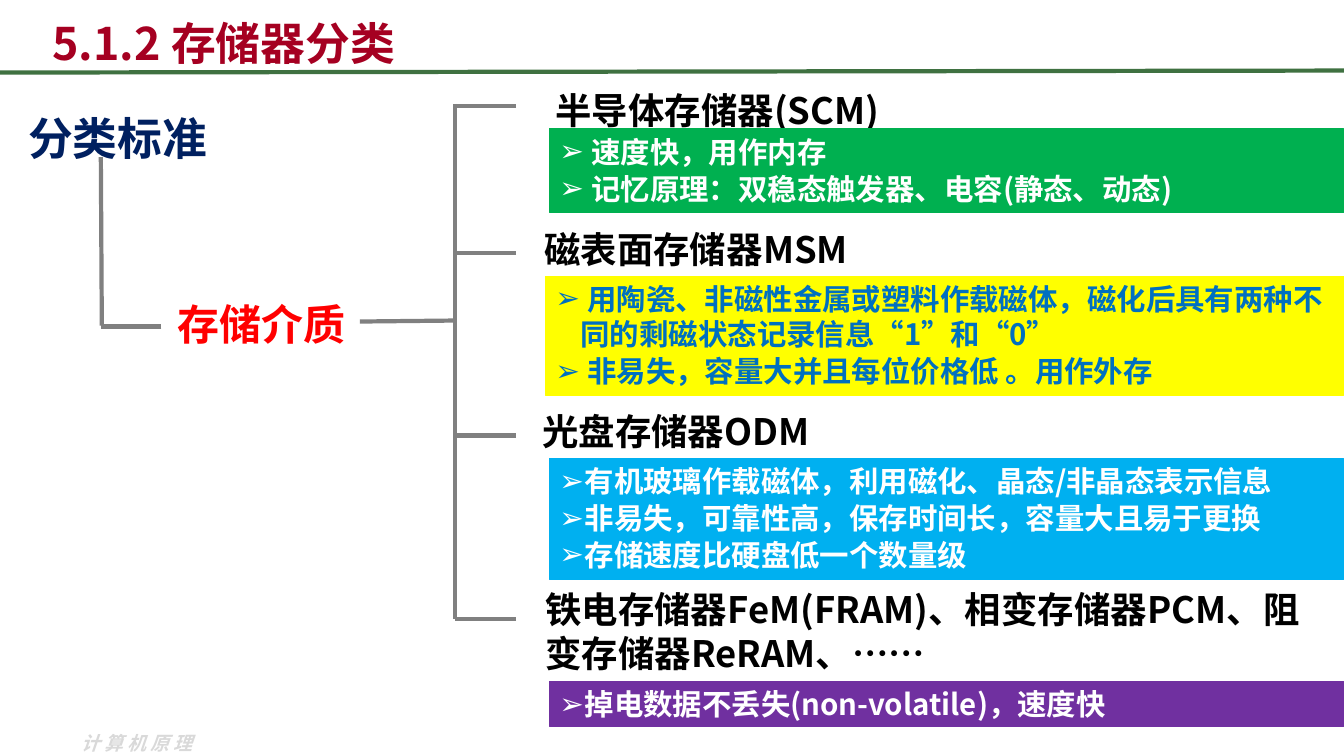
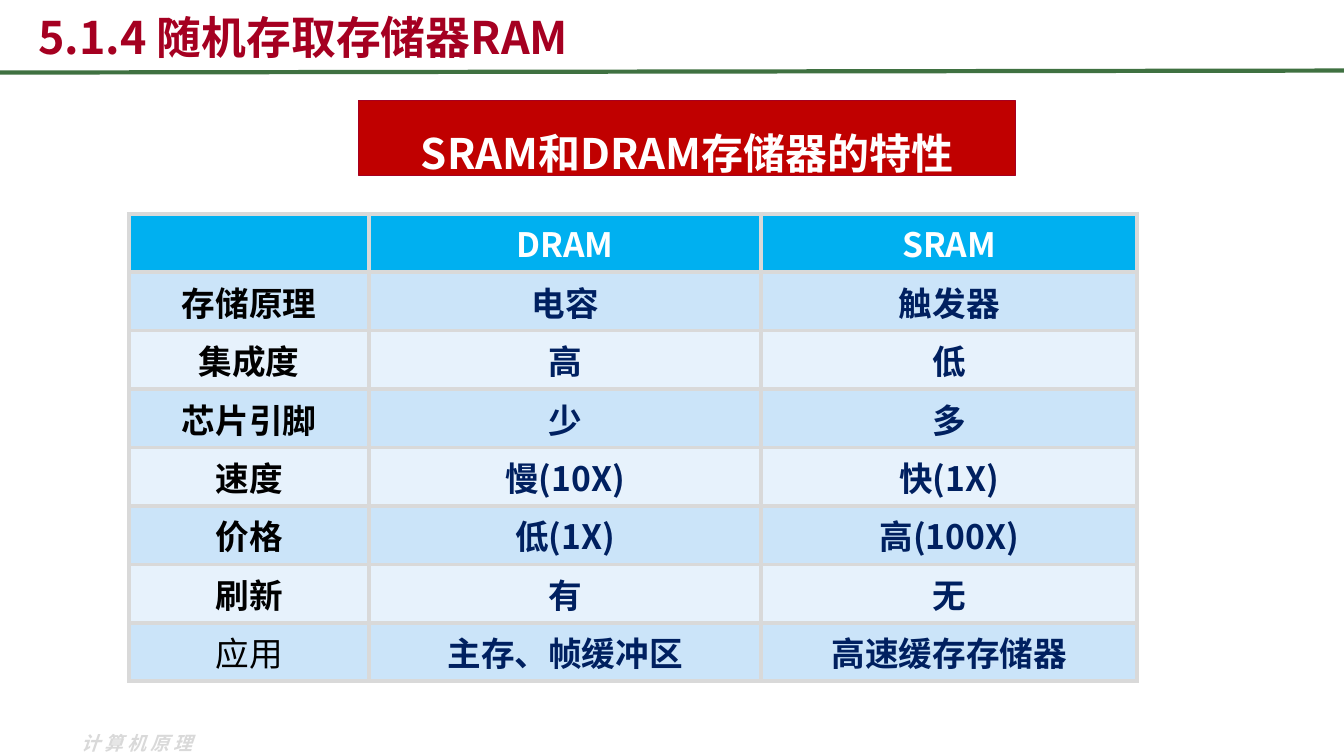
"""Build two slides on memory classification and random access memory."""
from dataclasses import dataclass, replace
from typing import Optional

from lxml import etree
from pptx import Presentation
from pptx.dml.color import RGBColor
from pptx.enum.shapes import MSO_CONNECTOR, MSO_SHAPE
from pptx.enum.text import MSO_ANCHOR, PP_ALIGN
from pptx.oxml.ns import qn
from pptx.util import Inches, Length, Pt

STRAIGHT = MSO_CONNECTOR.STRAIGHT
RECTANGLE = MSO_SHAPE.RECTANGLE
TOP, MIDDLE, BOTTOM = MSO_ANCHOR.TOP, MSO_ANCHOR.MIDDLE, MSO_ANCHOR.BOTTOM
LEFT, CENTER = PP_ALIGN.LEFT, PP_ALIGN.CENTER

COLUMNS, ROWS = 133.3, 75
CELL = Inches(0.1)


@dataclass(frozen=True)
class Style:
    size: float
    color: str
    bold: bool = True
    italic: bool = False
    tracking: float = 0
    align: PP_ALIGN = LEFT
    line_spacing: Optional[float] = None
    space_before: float = 0
    bullet: str = ""


@dataclass(frozen=True)
class Theme:
    font: str = "Noto Sans CJK SC"
    rule: str = "3F7141"
    tree: str = "808080"
    white: str = "FFFFFF"
    banner: str = "C00000"
    banner_edge: str = "A50021"
    border: str = "D9D9D9"
    header: str = "00B0F0"
    bands: tuple[str, str] = ("CBE4F9", "E7F2FC")
    line_width: float = 3
    edge_width: float = 0.75
    bullet_indent: float = 2.5
    title: Style = Style(32, "A50021")
    footer: Style = Style(13.5, "D9D9D9", italic=True, tracking=3)
    root: Style = Style(32, "002060", space_before=0.05)
    medium: Style = Style(30, "FF0000", space_before=0.05)
    heading: Style = Style(26, "000000", space_before=0.05)
    point: Style = Style(21, "FFFFFF", space_before=0.05, bullet="➢")
    caption: Style = Style(30, "FFFFFF", align=CENTER, line_spacing=1.6, space_before=0.05)
    header_cell: Style = Style(24, "FFFFFF", align=CENTER)
    label_cell: Style = Style(24, "000000", align=CENTER)
    value_cell: Style = Style(24, "002060", align=CENTER)


THEME = Theme()


@dataclass(frozen=True)
class Area:
    left: float
    top: float
    width: float
    height: float

    def lengths(self) -> tuple[Length, ...]:
        """Convert grid cells to slide lengths."""
        return tuple(cells(n) for n in (self.left, self.top, self.width, self.height))


@dataclass(frozen=True)
class Line:
    x1: float
    y1: float
    x2: float
    y2: float


@dataclass(frozen=True)
class Panel:
    left: float
    top: float
    height: float
    fill: str
    points: tuple[str, ...]
    ink: str = THEME.white


@dataclass(frozen=True)
class Branch:
    heading: str
    area: Area
    tick: float
    panel: Panel
    style: Style = THEME.heading


BRANCHES = (
    Branch("半导体存储器(SCM)", Area(31.2, 5.7, 79.9, 5.4), 10.5,
           Panel(54.5, 12.8, 8.3, "00B050",
                 (" 速度快，用作内存", " 记忆原理：双稳态触发器、电容(静态、动态)")),
           replace(THEME.heading, align=CENTER, line_spacing=1.6)),
    Branch("磁表面存储器MSM", Area(53, 22, 79.9, 5.4), 25.1,
           Panel(54.1, 27.4, 11.8, "FFFF00",
                 (" 用陶瓷、非磁性金属或塑料作载磁体，磁化后具有两种不同的剩磁状态记录信息“1”和“0”",
                  " 非易失，容量大并且每位价格低 。用作外存"), "0070C0")),
    Branch("光盘存储器ODM", Area(52.8, 40.1, 79.9, 5.4), 43.2,
           Panel(54.5, 45.5, 12, "00B0F0",
                 ("有机玻璃作载磁体，利用磁化、晶态/非晶态表示信息",
                  "非易失，可靠性高，保存时间长，容量大且易于更换",
                  "存储速度比硬盘低一个数量级"))),
    Branch("铁电存储器FeM(FRAM)、相变存储器PCM、阻变存储器ReRAM、……",
           Area(53.1, 57.8, 80.2, 9.8), 61.4,
           Panel(54.5, 67.6, 4.5, "7030A0", ("掉电数据不丢失(non-volatile)，速度快",))),
)
TRUNK, TICK_END = 45.1, 51.2
TREE_LINES = (
    Line(10, 15.6, 10.1, 32.3),
    Line(16, 32.4, 10, 32.4),
    Line(TRUNK, 31.8, 35.7, 31.9),
    Line(TRUNK, BRANCHES[0].tick - 0.2, TRUNK, BRANCHES[-1].tick),
)

COMPARISON = (
    ("", "DRAM", "SRAM"),
    ("存储原理", "电容", "触发器"),
    ("集成度", "高", "低"),
    ("芯片引脚", "少", "多"),
    ("速度", "慢(10X)", "快(1X)"),
    ("价格", "低(1X)", "高(100X)"),
    ("刷新", "有", "无"),
    ("应用", "主存、帧缓冲区", "高速缓存存储器"),
)
TABLE_COLUMNS = (23.8, 38.9, 37.3)
TABLE_ROW = 5.8


def cells(count: float) -> Length:
    """Convert a count of grid cells to a length."""
    return Length(round(count * CELL))


def add_bullet(para, mark: str) -> None:
    """Give a paragraph a hanging bullet."""
    indent = cells(THEME.bullet_indent)
    properties = para._p.get_or_add_pPr()
    properties.set("marL", str(indent))
    properties.set("indent", str(-indent))
    etree.SubElement(properties, qn("a:buFont"), typeface="Arial")
    etree.SubElement(properties, qn("a:buChar"), char=mark)


def write(frame, texts: tuple[str, ...], style: Style) -> None:
    """Write one paragraph for each text."""
    for index, text in enumerate(texts):
        para = frame.add_paragraph() if index else frame.paragraphs[0]
        para.alignment = style.align
        para.space_before = Pt(round(style.size * style.space_before, 1))
        if style.line_spacing:
            para.line_spacing = style.line_spacing
        if style.bullet:
            add_bullet(para, style.bullet)
        span = para.add_run()
        span.text = text
        font = span.font
        font.name, font.size = THEME.font, Pt(style.size)
        font.bold, font.italic = style.bold, style.italic
        font.color.rgb = RGBColor.from_string(style.color)
        properties = span._r.get_or_add_rPr()
        etree.SubElement(properties, qn("a:ea"), typeface=THEME.font)
        if style.tracking:
            properties.set("spc", str(round(style.tracking * 100)))


def add_text(page, area: Area, text: str, style: Style, anchor: MSO_ANCHOR = TOP) -> None:
    """Place a wrapped text box."""
    frame = page.shapes.add_textbox(*area.lengths()).text_frame
    frame.word_wrap = True
    frame.vertical_anchor = anchor
    write(frame, (text,), style)


def add_box(page, area: Area, fill: str, texts: tuple[str, ...], style: Style,
            anchor: MSO_ANCHOR = TOP, edge: Optional[str] = None) -> None:
    """Place a filled rectangle with text."""
    box = page.shapes.add_shape(RECTANGLE, *area.lengths())
    box.shadow.inherit = False
    box.fill.solid()
    box.fill.fore_color.rgb = RGBColor.from_string(fill)
    if edge:
        box.line.color.rgb = RGBColor.from_string(edge)
        box.line.width = Pt(THEME.edge_width)
    else:
        box.line.fill.background()
    box.text_frame.word_wrap = True
    box.text_frame.vertical_anchor = anchor
    write(box.text_frame, texts, style)


def add_line(page, line: Line, color: str) -> None:
    """Draw a straight line without a shadow."""
    ends = (cells(n) for n in (line.x1, line.y1, line.x2, line.y2))
    connector = page.shapes.add_connector(STRAIGHT, *ends)
    connector.line.color.rgb = RGBColor.from_string(color)
    connector.line.width = Pt(THEME.line_width)
    etree.SubElement(connector._element.spPr, qn("a:effectLst"))


def add_page(deck, title: str, area: Area):
    """Add a blank page with the shared footer, rule and title."""
    page = deck.slides.add_slide(deck.slide_layouts[6])
    add_text(page, Area(7.1, 72.1, 14.6, 3.4), "计算机原理", THEME.footer)
    add_line(page, Line(0, 7.2, COLUMNS, 7), THEME.rule)
    add_text(page, area, title, THEME.title, BOTTOM)
    return page


def add_branch(page, branch: Branch) -> None:
    """Draw one branch: its tick, heading and panel."""
    panel = branch.panel
    add_text(page, branch.area, branch.heading, branch.style)
    add_line(page, Line(TICK_END, branch.tick, TRUNK, branch.tick), THEME.tree)
    add_box(page, Area(panel.left, panel.top, COLUMNS - panel.left, panel.height),
            panel.fill, panel.points, replace(THEME.point, color=panel.ink), edge=panel.fill)


def add_borders(cell) -> None:
    """Draw the same border on all sides of a table cell."""
    properties = cell._tc.get_or_add_tcPr()
    for index, side in enumerate(("lnL", "lnR", "lnT", "lnB")):
        border = etree.Element(qn(f"a:{side}"), w=str(Pt(THEME.line_width)))
        fill = etree.SubElement(border, qn("a:solidFill"))
        etree.SubElement(fill, qn("a:srgbClr"), val=THEME.border)
        properties.insert(index, border)


def cell_style(row: int, column: int) -> Style:
    """Choose the text style for a table position."""
    if row == 0:
        return THEME.header_cell
    if column == 0:
        return replace(THEME.label_cell, bold=row < len(COMPARISON) - 1)
    return THEME.value_cell


def add_comparison(page, left: float, top: float) -> None:
    """Build the comparison table."""
    area = Area(left, top, sum(TABLE_COLUMNS), TABLE_ROW * len(COMPARISON))
    table = page.shapes.add_table(len(COMPARISON), len(TABLE_COLUMNS), *area.lengths()).table
    for column, width in zip(table.columns, TABLE_COLUMNS):
        column.width = cells(width)
    for row, texts in enumerate(COMPARISON):
        table.rows[row].height = cells(TABLE_ROW)
        fill = THEME.bands[(row - 1) % 2] if row else THEME.header
        for column, text in enumerate(texts):
            cell = table.cell(row, column)
            cell.vertical_anchor = MIDDLE
            cell.fill.solid()
            cell.fill.fore_color.rgb = RGBColor.from_string(fill)
            add_borders(cell)
            if text:
                write(cell.text_frame, (text,), cell_style(row, column))


def build_classification(deck) -> None:
    """Build the memory classification tree."""
    page = add_page(deck, "5.1.2 存储器分类", Area(4.2, -0.5, 120, 7.9))
    add_box(page, Area(1.8, 10.4, 21.2, 6.4), THEME.white, ("分类标准",), THEME.root, MIDDLE)
    add_text(page, Area(16.6, 29.1, 79.9, 6.1), "存储介质", THEME.medium)
    for line in TREE_LINES:
        add_line(page, line, THEME.tree)
    for branch in BRANCHES:
        add_branch(page, branch)


def build_random_access(deck) -> None:
    """Build the comparison of dynamic and static memory."""
    page = add_page(deck, "5.1.4 随机存取存储器RAM", Area(2.8, -0.1, 120, 6.9))
    add_box(page, Area(35.6, 10, 65.1, 7.4), THEME.banner, ("SRAM和DRAM存储器的特性",),
            THEME.caption, MIDDLE, THEME.banner_edge)
    add_comparison(page, 12.8, 21.2)


def main() -> None:
    """Create and save the deck."""
    deck = Presentation()
    deck.slide_width, deck.slide_height = cells(COLUMNS), cells(ROWS)
    build_classification(deck)
    build_random_access(deck)
    deck.save("out.pptx")


if __name__ == "__main__":
    main()
